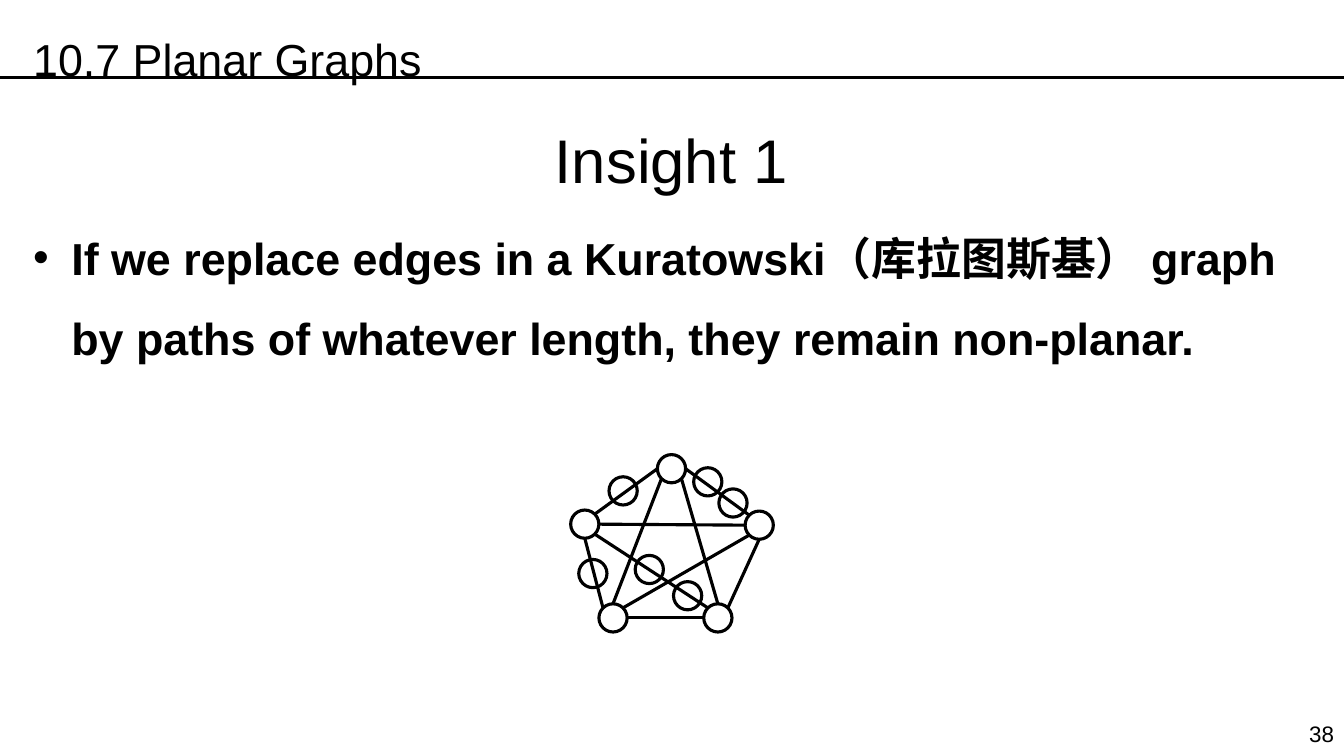
import math

from lxml import etree
from pptx import Presentation
from pptx import util as u
from pptx.dml.color import RGBColor
from pptx.enum import shapes, text
from pptx.oxml import ns

COLORS = {"ink": "000000", "paper": "FFFFFF"}
FONT = "Arial"
SLIDE_WIDTH, SLIDE_HEIGHT = 13.33, 7.5
LINE_WIDTH = 2.25
DIAMETER = 0.28

HEADER = "10.7 Planar Graphs"
TITLE = "Insight 1"
STATEMENT = ("If we replace edges in a Kuratowski（库拉图斯基） graph "
             "by paths of whatever length, they remain non-planar.")
PAGE_NUMBER = "38"

# Centres of the five vertices of K5
VERTICES = {
    "left": (5.8, 5.2),
    "top": (6.66, 4.65),
    "right": (7.53, 5.21),
    "lower right": (7.12, 6.13),
    "lower left": (6.08, 6.13),
}
# Each end of an edge: vertex and the compass angle of its rim point
EDGES = [
    (("top", 135), ("lower right", 0)),
    (("right", 180), ("lower right", 45)),
    (("lower left", 90), ("lower right", 270)),
    (("right", 315), ("top", 90)),
    (("top", 270), ("left", 45)),
    (("lower left", 315), ("left", 180)),
    (("lower left", 0), ("top", 225)),
    (("left", 90), ("right", 270)),
    (("left", 135), ("lower right", 315)),
    (("lower left", 45), ("right", 225)),
]
# Centres of the extra vertices that turn edges into paths
PATH_VERTICES = [(7.02, 4.78), (7.27, 4.99), (6.82, 5.91),
                 (6.18, 4.87), (6.44, 5.65), (5.88, 5.69)]


def color(name):
    return RGBColor.from_string(COLORS[name])


def fill_text(shape, words, size, bold=False, spacing=None,
              align=text.PP_ALIGN.LEFT, bullet=False):
    """Put one formatted paragraph into a shape."""
    frame = shape.text_frame
    frame.text = words
    frame.word_wrap = True
    frame.auto_size = text.MSO_AUTO_SIZE.NONE
    frame.vertical_anchor = text.MSO_ANCHOR.TOP
    paragraph = frame.paragraphs[0]
    paragraph.alignment = align
    paragraph.line_spacing = spacing
    if bullet:
        properties = paragraph._p.get_or_add_pPr()
        properties.set("marL", str(u.Inches(0.38)))
        properties.set("indent", str(u.Inches(-0.38)))
        etree.SubElement(properties, ns.qn("a:buFont")).set("typeface", FONT)
        etree.SubElement(properties, ns.qn("a:buChar")).set("char", "•")
    font = paragraph.runs[0].font
    font.name, font.size, font.bold = FONT, u.Pt(size), bold
    font.color.rgb = color("ink")


def add_text(slide, box, words, size, **options):
    shape = slide.shapes.add_textbox(*map(u.Inches, box))
    fill_text(shape, words, size, **options)


def add_line(container, start, end):
    line = container.add_connector(shapes.MSO_CONNECTOR.STRAIGHT,
                                   *map(u.Inches, start + end))
    line.line.color.rgb = color("ink")
    line.line.width = u.Pt(LINE_WIDTH)
    etree.SubElement(line._element.spPr, ns.qn("a:effectLst"))


def add_vertex(container, center):
    x, y = center
    box = (x - DIAMETER / 2, y - DIAMETER / 2, DIAMETER, DIAMETER)
    circle = container.add_shape(shapes.MSO_SHAPE.OVAL, *map(u.Inches, box))
    circle.shadow.inherit = False
    circle.fill.background()
    circle.line.color.rgb = color("ink")
    circle.line.width = u.Pt(LINE_WIDTH)


def rim_point(vertex, angle):
    """Point on a vertex circle, clockwise from the top."""
    x, y = VERTICES[vertex]
    turn = math.radians(angle)
    return (x + DIAMETER / 2 * math.sin(turn),
            y - DIAMETER / 2 * math.cos(turn))


def main():
    presentation = Presentation()
    presentation.slide_width = u.Inches(SLIDE_WIDTH)
    presentation.slide_height = u.Inches(SLIDE_HEIGHT)
    slide = presentation.slides.add_slide(presentation.slide_layouts[5])
    slide.background.fill.solid()
    slide.background.fill.fore_color.rgb = color("paper")

    add_line(slide.shapes, (0, 0.77), (SLIDE_WIDTH, 0.77))
    add_text(slide, (12.7, 7.1, 0.63, 0.37), PAGE_NUMBER, 16,
             align=text.PP_ALIGN.RIGHT)

    title = slide.shapes.title
    title.left, title.top, title.width, title.height = map(
        u.Inches, (2.16, 1.1, 9, 1.25))
    fill_text(title, TITLE, 44, align=text.PP_ALIGN.CENTER)
    title.text_frame.margin_top = u.Inches(0.11)

    add_text(slide, (0.23, 1.97, 12.96, 5.53), STATEMENT, 32,
             bold=True, spacing=1.5, bullet=True)

    graph = slide.shapes.add_group_shape().shapes
    for center in VERTICES.values():
        add_vertex(graph, center)
    for start, end in EDGES:
        add_line(graph, rim_point(*start), rim_point(*end))
    for center in PATH_VERTICES:
        add_vertex(slide.shapes, center)

    add_text(slide, (0.23, 0, 12.09, 0.81), HEADER, 32, spacing=1.5)
    presentation.save("out.pptx")


if __name__ == "__main__":
    main()
